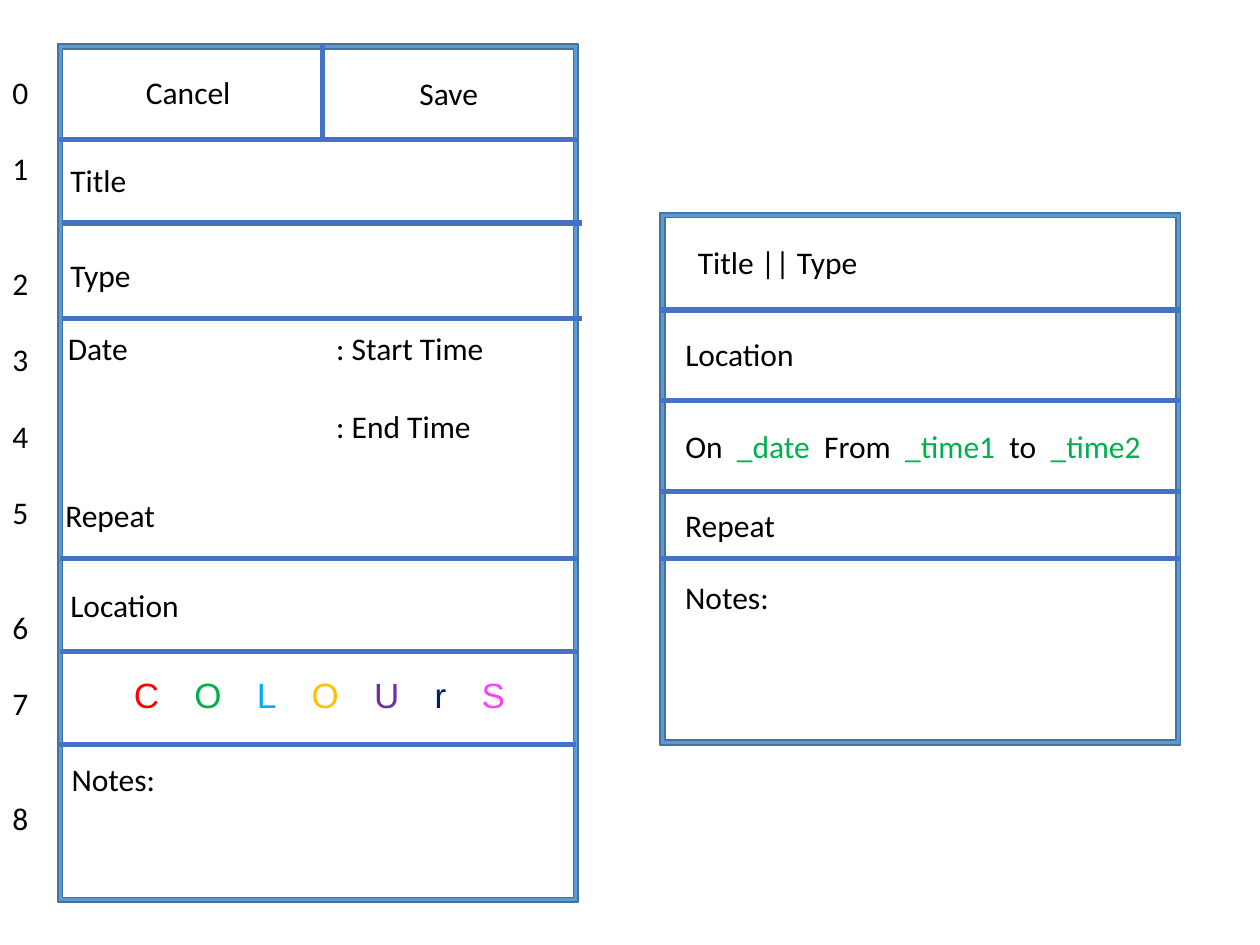
from dataclasses import dataclass

from lxml.etree import SubElement
from pptx import Presentation
from pptx.dml.color import RGBColor
from pptx.enum.shapes import MSO_CONNECTOR, MSO_SHAPE
from pptx.enum.text import MSO_AUTO_SIZE, PP_ALIGN
from pptx.oxml.ns import qn
from pptx.util import Inches, Pt


@dataclass(frozen=True)
class Theme:
    frame_fill: str = "5B9BD5"
    frame_edge: str = "43739E"
    rule: str = "4472C4"
    ink: str = "000000"
    value: str = "00B050"
    font: str = "Calibri"
    letter_font: str = "Arial"
    body_size: int = 18
    letter_size: int = 20
    body_line: int = 22


theme = Theme()
deck = Presentation()
deck.slide_width = Inches(10)
deck.slide_height = Inches(7.5)
page = deck.slides.add_slide(deck.slide_layouts[6])


def add_rule(x1, y1, x2, y2):
    rule = page.shapes.add_connector(
        MSO_CONNECTOR.STRAIGHT, Inches(x1), Inches(y1), Inches(x2), Inches(y2))
    rule.line.color.rgb = RGBColor.from_string(theme.rule)
    rule.line.width = Pt(3)
    SubElement(rule._element.spPr, qn("a:effectLst"))


def add_text(left, top, width, pieces, height=0.4, size=theme.body_size,
             font=theme.font, tracking=0, gap=0):
    """Add one line of (text, colour) pieces, parted by spaces widened by gap points."""
    box = page.shapes.add_textbox(Inches(left), Inches(top), Inches(width), Inches(height))
    box.text_frame.word_wrap = True
    box.text_frame.auto_size = MSO_AUTO_SIZE.SHAPE_TO_FIT_TEXT
    para = box.text_frame.paragraphs[0]
    for index, (text, color) in enumerate(pieces):
        parts = [(text, tracking)]
        if index < len(pieces) - 1:
            parts.append((" ", gap))
        for words, spacing in parts:
            span = para.add_run()
            span.text = words
            span.font.size = Pt(size)
            span.font.name = font
            span.font.color.rgb = RGBColor.from_string(color)
            if spacing:
                span.font._element.set("spc", str(round(spacing * 100)))
    return box


# Outer frames of the edit form and the summary card
for left, top, height in [(0.46, 0.35, 6.81), (5.24, 1.69, 4.22)]:
    frame = page.shapes.add_shape(
        MSO_SHAPE.FRAME, Inches(left), Inches(top), Inches(4.13), Inches(height))
    frame.adjustments[0] = 0.009
    frame.shadow.inherit = False
    frame.fill.solid()
    frame.fill.fore_color.rgb = RGBColor.from_string(theme.frame_fill)
    frame.line.color.rgb = RGBColor.from_string(theme.frame_edge)
    frame.line.width = Pt(1)

# Row dividers
form_rules = [(0.46, 4.58, 1.11), (0.49, 4.62, 1.77), (0.49, 4.62, 2.53),
              (0.48, 4.58, 4.43), (0.48, 4.58, 5.17), (0.47, 4.57, 5.91)]
card_rules = [(5.24, 9.37, y) for y in (2.46, 3.18, 3.9, 4.43)]
for start, end, y in form_rules + card_rules:
    add_rule(start, y, end, y)
add_rule(2.56, 0.35, 2.56, 1.11)

# Field labels: left, top, width, text
labels = [
    (1.06, 0.53, 0.9, "Cancel"),
    (3.23, 0.54, 0.69, "Save"),
    (0.46, 1.23, 4.13, "Title"),
    (0.46, 1.98, 4.13, "Type"),
    (0.44, 2.56, 2.1, "Date"),
    (2.57, 2.56, 1.87, ": Start Time"),
    (2.57, 3.18, 1.87, ": End Time"),
    (0.42, 3.89, 4.13, "Repeat"),
    (0.46, 4.6, 4.13, "Location"),
    (0.47, 5.98, 4.13, "Notes:"),
    (5.44, 1.88, 2.23, "Title || Type"),
    (5.34, 2.61, 1.18, "Location"),
    (5.34, 3.97, 3.76, "Repeat"),
    (5.34, 4.54, 0.9, "Notes:"),
]
for left, top, width, text in labels:
    add_text(left, top, width, [(text, theme.ink)])

# Date and time sentence on the summary card
sentence = [("On", theme.ink), ("_date", theme.value), ("From", theme.ink),
            ("_time1", theme.value), ("to", theme.ink), ("_time2", theme.value)]
add_text(5.34, 3.34, 3.92, sentence, gap=4.07)

# Colour picker letters
letter_colors = ["FF0000", "00B050", "00B0F0", "FFC000", "7030A0", "002060", "FF40FF"]
letters = add_text(0.47, 5.3, 4.13, list(zip("COLOUrS", letter_colors)), height=0.44,
                   size=theme.letter_size, font=theme.letter_font, tracking=3, gap=11.56)
letters.text_frame.paragraphs[0].alignment = PP_ALIGN.CENTER

# Row numbers, each set off by one or two empty lines' worth of space
numbers = add_text(0, 0.53, 0.37, [("0", theme.ink)], height=6.16)
for number, lines_before in enumerate([1, 2, 1, 1, 1, 2, 1, 2], start=1):
    para = numbers.text_frame.add_paragraph()
    para.space_before = Pt(lines_before * theme.body_line)
    span = para.add_run()
    span.text = str(number)
    span.font.size = Pt(theme.body_size)
    span.font.name = theme.font
    span.font.color.rgb = RGBColor.from_string(theme.ink)

deck.save("out.pptx")
